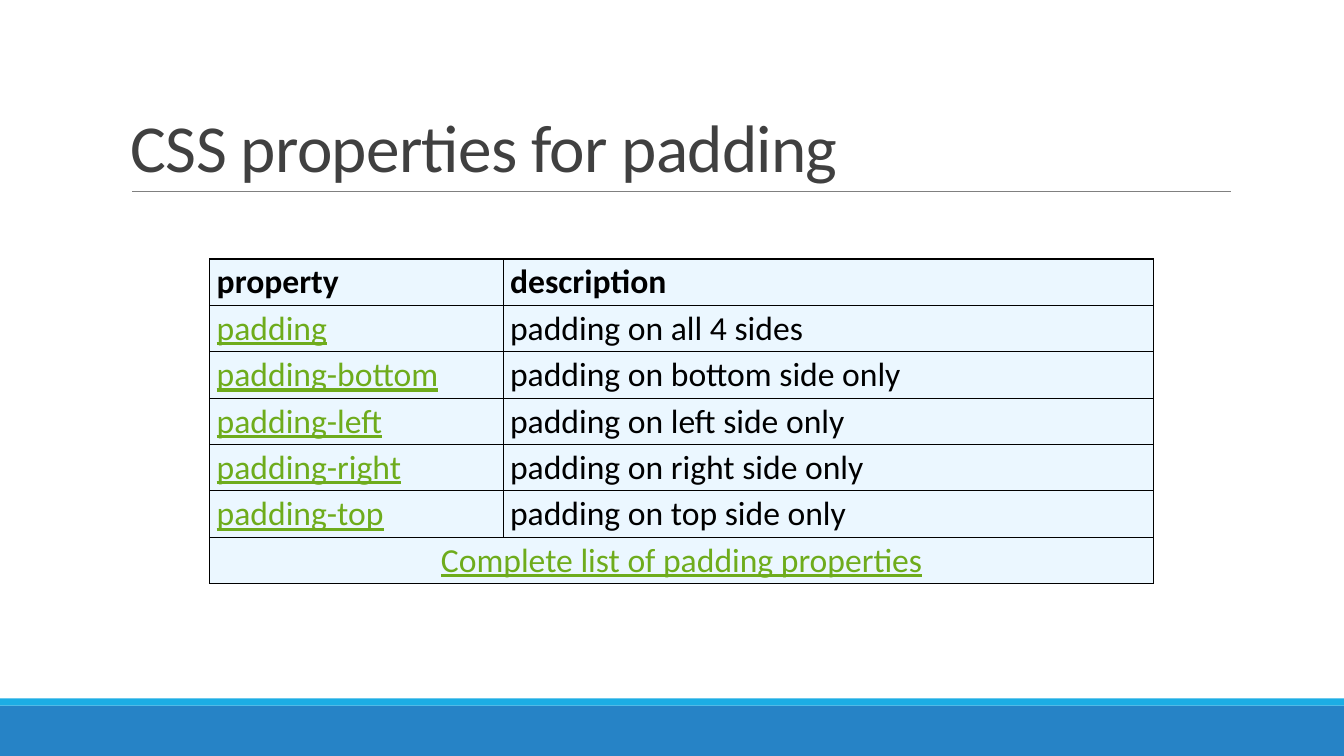
from dataclasses import dataclass

from lxml.etree import SubElement
from pptx import Presentation
from pptx.dml.color import RGBColor
from pptx.enum.shapes import MSO_CONNECTOR, MSO_SHAPE
from pptx.enum.text import MSO_ANCHOR, PP_ALIGN
from pptx.oxml.ns import qn
from pptx.slide import Slide
from pptx.table import _Cell
from pptx.text.text import _Paragraph, _Run
from pptx.util import Inches, Pt

FONT = "Calibri"
BLACK = "000000"
LINK_GREEN = "6EAC1C"
CELL_FILL = "EBF7FF"
ROW_HEIGHT = 0.46
COLUMN_WIDTHS = (2.91, 6.45)


@dataclass(frozen=True)
class Band:
    top: float
    height: float
    color: str


@dataclass(frozen=True)
class Entry:
    text: str
    bold: bool = False
    link: bool = False
    centered: bool = False


FOOTER_BANDS = (Band(7, 0.5, "2683C6"), Band(6.93, 0.07, "1CADE4"))
PADDING_SIDES = ("bottom", "left", "right", "top")
PROPERTY_ROWS = [
    (Entry("property", bold=True), Entry("description", bold=True)),
    (Entry("padding", link=True), Entry("padding on all 4 sides")),
    *(
        (Entry(f"padding-{side}", link=True), Entry(f"padding on {side} side only"))
        for side in PADDING_SIDES
    ),
    (Entry("Complete list of padding properties", link=True, centered=True),),
]


def rgb(color: str) -> RGBColor:
    return RGBColor.from_string(color)


def add_run(paragraph: _Paragraph, text: str, size: float, color: str) -> _Run:
    run = paragraph.add_run()
    run.text = text
    run.font.name = FONT
    run.font.size = Pt(size)
    run.font.color.rgb = rgb(color)
    return run


def draw_band(slide: Slide, band: Band, width: int) -> None:
    stripe = slide.shapes.add_shape(
        MSO_SHAPE.RECTANGLE, 0, Inches(band.top), width, Inches(band.height)
    )
    stripe.shadow.inherit = False
    stripe.fill.solid()
    stripe.fill.fore_color.rgb = rgb(band.color)
    stripe.line.fill.background()


def draw_title(slide: Slide, text: str) -> None:
    title = slide.shapes.add_textbox(Inches(1.2), Inches(0.31), Inches(11), Inches(1.59))
    frame = title.text_frame
    frame.word_wrap = True
    frame.vertical_anchor = MSO_ANCHOR.BOTTOM
    paragraph = frame.paragraphs[0]
    paragraph.line_spacing = 0.85
    run = add_run(paragraph, text, 48, "404040")
    run.font._element.set("spc", "-50")

    # Rule under the title
    rule = slide.shapes.add_connector(
        MSO_CONNECTOR.STRAIGHT, Inches(1.31), Inches(1.9), Inches(12.21), Inches(1.9)
    )
    rule.line.color.rgb = rgb("808080")
    rule.line.width = Pt(0.5)
    SubElement(rule._element.spPr, qn("a:effectLst"))


def style_cell(cell: _Cell) -> None:
    cell.margin_left = cell.margin_right = Inches(0.07)
    cell.margin_top, cell.margin_bottom = Inches(0.03), Inches(0.02)
    properties = cell._tc.get_or_add_tcPr()
    for edge in ("a:lnL", "a:lnR", "a:lnT", "a:lnB"):
        border = SubElement(properties, qn(edge), w=str(Pt(1)))
        border_fill = SubElement(border, qn("a:solidFill"))
        SubElement(border_fill, qn("a:srgbClr"), val=BLACK)
    cell.fill.solid()
    cell.fill.fore_color.rgb = rgb(CELL_FILL)


def write_entry(cell: _Cell, entry: Entry) -> None:
    paragraph = cell.text_frame.paragraphs[0]
    paragraph.alignment = PP_ALIGN.CENTER if entry.centered else PP_ALIGN.LEFT
    run = add_run(paragraph, entry.text, 24, LINK_GREEN if entry.link else BLACK)
    run.font.bold = entry.bold
    run.font.underline = entry.link


def draw_properties(slide: Slide) -> None:
    count = len(PROPERTY_ROWS)
    properties = slide.shapes.add_table(
        count, len(COLUMN_WIDTHS), Inches(2.08), Inches(2.57),
        Inches(sum(COLUMN_WIDTHS)), Inches(count * ROW_HEIGHT),
    ).table
    properties.first_row = properties.horz_banding = False
    for column, width in zip(properties.columns, COLUMN_WIDTHS):
        column.width = Inches(width)
    for row, entries in zip(properties.rows, PROPERTY_ROWS):
        row.height = Inches(ROW_HEIGHT)
        for cell in row.cells:
            style_cell(cell)
        # A lone entry spans the whole row
        if len(entries) == 1:
            row.cells[0].merge(row.cells[1])
        for cell, entry in zip(row.cells, entries):
            write_entry(cell, entry)


def main() -> None:
    deck = Presentation()
    deck.slide_width, deck.slide_height = Inches(13.33), Inches(7.5)
    slide = deck.slides.add_slide(deck.slide_layouts[6])

    # Footer bands
    for band in FOOTER_BANDS:
        draw_band(slide, band, deck.slide_width)

    # Title and table of properties
    draw_title(slide, "CSS properties for padding")
    draw_properties(slide)
    deck.save("out.pptx")


if __name__ == "__main__":
    main()
